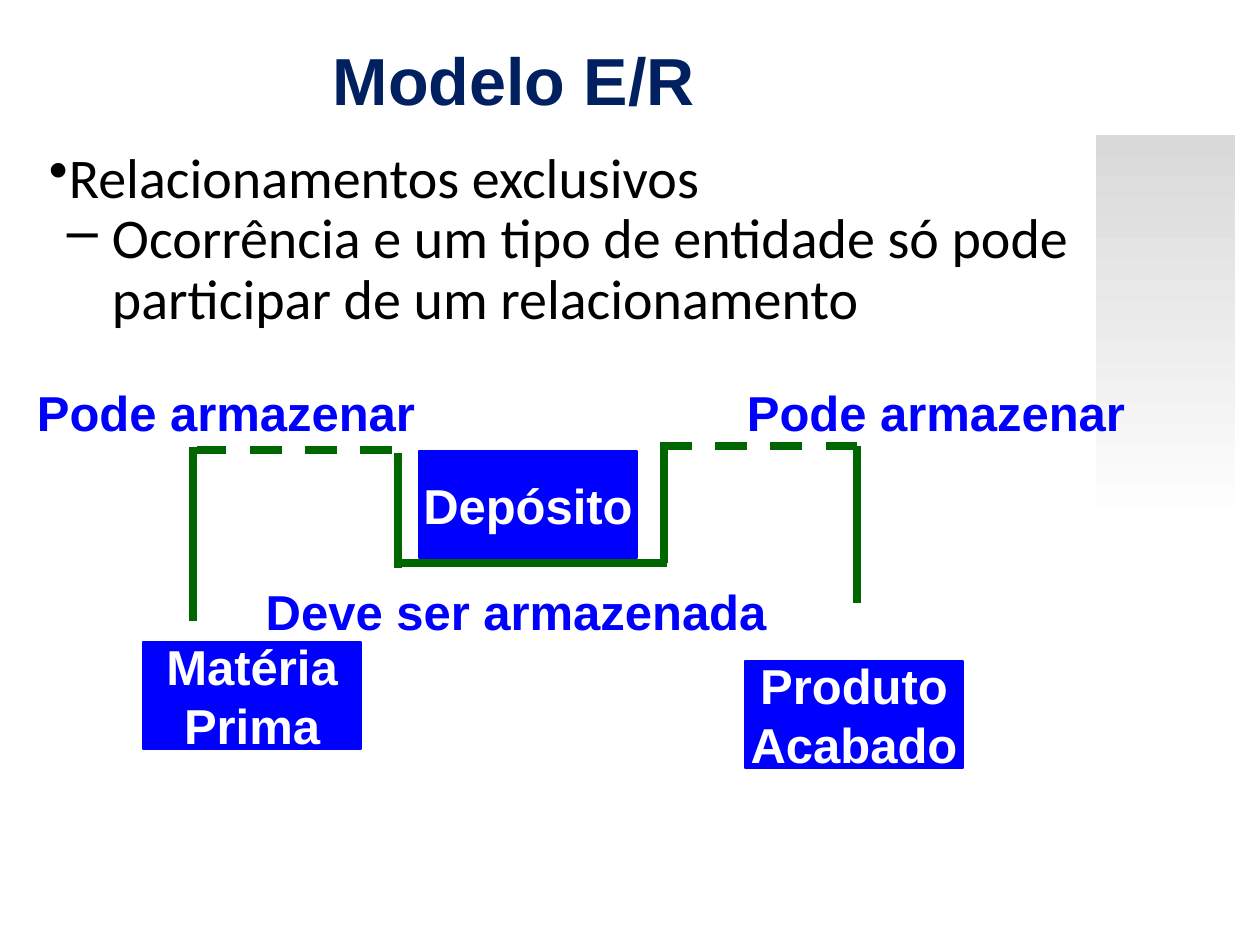
from lxml.etree import SubElement
from pptx import Presentation
from pptx.dml.color import RGBColor
from pptx.enum.dml import MSO_LINE
from pptx.enum.shapes import MSO_CONNECTOR, MSO_SHAPE
from pptx.enum.text import MSO_ANCHOR, PP_ALIGN
from pptx.oxml.ns import qn
from pptx.util import Emu, Pt

PX = 914400 // 126  # EMU in one px

COLORS = {
    "title": "002060",
    "body": "000000",
    "entity": "0000FF",
    "entity_text": "FFFFFF",
    "label": "0000FF",
    "link": "006600",
    "band_top": "D9D9D9",
    "band_end": "FFFFFF",
}


def px(length):
    return Emu(length * PX)


def box(*lengths):
    return [px(length) for length in lengths]


def color(name):
    return RGBColor.from_string(COLORS[name])


def set_font(paragraph, name, size, color_name, bold=False):
    font = paragraph.font
    font.name, font.size, font.bold = name, Pt(size), bold
    font.color.rgb = color(color_name)


def set_margins(frame, horizontal, vertical):
    frame.margin_left = frame.margin_right = px(horizontal)
    frame.margin_top = frame.margin_bottom = px(vertical)


def write_lines(frame, lines, color_name):
    """Centred bold lines that do not wrap."""
    frame.word_wrap = False
    frame.text = "\n".join(lines)
    for paragraph in frame.paragraphs:
        paragraph.alignment = PP_ALIGN.CENTER
        set_font(paragraph, "Arial", 28, color_name, bold=True)


def add_band(slide):
    band = slide.shapes.add_shape(MSO_SHAPE.RECTANGLE, *box(1096, 135, 139, 784))
    band.shadow.inherit = False
    band.line.fill.background()
    band.fill.gradient()
    band.fill.gradient_angle = 270
    stops = zip(band.fill.gradient_stops, (0, 0.5), ("band_top", "band_end"))
    for stop, position, name in stops:
        stop.position = position
        stop.color.rgb = color(name)


def add_title(slide, text):
    title = slide.shapes.title
    title.left, title.top, title.width, title.height = box(-363, 0, 1071, 158)
    frame = title.text_frame
    frame.text = text
    frame.vertical_anchor = MSO_ANCHOR.MIDDLE
    set_margins(frame, 13, 6)
    paragraph = frame.paragraphs[0]
    paragraph.alignment = PP_ALIGN.RIGHT
    set_font(paragraph, "Arial", 38, "title", bold=True)


def add_bullets(slide, items):
    frame = slide.shapes.add_textbox(*box(44, 145, 1071, 190)).text_frame
    frame.word_wrap = True
    set_margins(frame, 5, 5)
    frame.text = "\n".join(text for text, *_ in items)
    for paragraph, (_, level, bullet, margin, hanging) in zip(frame.paragraphs, items):
        paragraph.level = level
        paragraph.line_spacing = 0.9
        properties = paragraph._p.get_or_add_pPr()
        properties.set("marL", str(px(margin)))
        properties.set("indent", str(px(-hanging)))
        SubElement(properties, qn("a:buChar")).set("char", bullet)
        set_font(paragraph, "Calibri", 32, "body")


def add_entity(slide, left, top, *lines):
    entity = slide.shapes.add_shape(MSO_SHAPE.RECTANGLE, *box(left, top, 218, 107))
    entity.shadow.inherit = False
    entity.fill.solid()
    entity.fill.fore_color.rgb = entity.line.color.rgb = color("entity")
    entity.line.width = Pt(1)
    entity.text_frame.vertical_anchor = MSO_ANCHOR.MIDDLE
    set_margins(entity.text_frame, 13, 6)
    write_lines(entity.text_frame, lines, "entity_text")


def add_link(slide, *ends, dashed=False):
    link = slide.shapes.add_connector(MSO_CONNECTOR.STRAIGHT, *box(*ends))
    link.line.color.rgb = color("link")
    link.line.width = Pt(4.5)
    if dashed:
        link.line.dash_style = MSO_LINE.DASH
    SubElement(link._element.spPr, qn("a:effectLst"))


def add_label(slide, text, left, top, width):
    frame = slide.shapes.add_textbox(*box(left, top, width, 70)).text_frame
    set_margins(frame, 9, 5)
    write_lines(frame, [text], "label")


def main():
    presentation = Presentation()
    presentation.slide_width, presentation.slide_height = box(1260, 945)
    slide = presentation.slides.add_slide(presentation.slide_layouts[5])

    # Background band, title and bullets
    add_band(slide)
    add_title(slide, "Modelo E/R")
    add_bullets(slide, [
        ("Relacionamentos exclusivos", 0, "•", 20, 20),
        ("Ocorrência e um tipo de entidade só pode participar de um relacionamento",
         1, "–", 63, 45),
    ])

    # Entities
    add_entity(slide, 419, 451, "Depósito")
    add_entity(slide, 143, 642, "Matéria", "Prima")
    add_entity(slide, 745, 661, "Produto", "Acabado")

    # Shared mandatory end, below the deposit
    add_link(slide, 398, 453, 398, 568)
    add_link(slide, 398, 563, 667, 563)
    add_link(slide, 664, 563, 664, 447)

    # Optional ends, left and right
    add_link(slide, 392, 450, 197, 450, dashed=True)
    add_link(slide, 193, 447, 193, 621)
    add_link(slide, 660, 446, 857, 446, dashed=True)
    add_link(slide, 857, 446, 857, 603)

    # Relationship names
    for left in (25, 735):
        add_label(slide, "Pode armazenar", left, 377, 402)
    add_label(slide, "Deve ser armazenada", 249, 577, 534)

    presentation.save("out.pptx")


if __name__ == "__main__":
    main()
